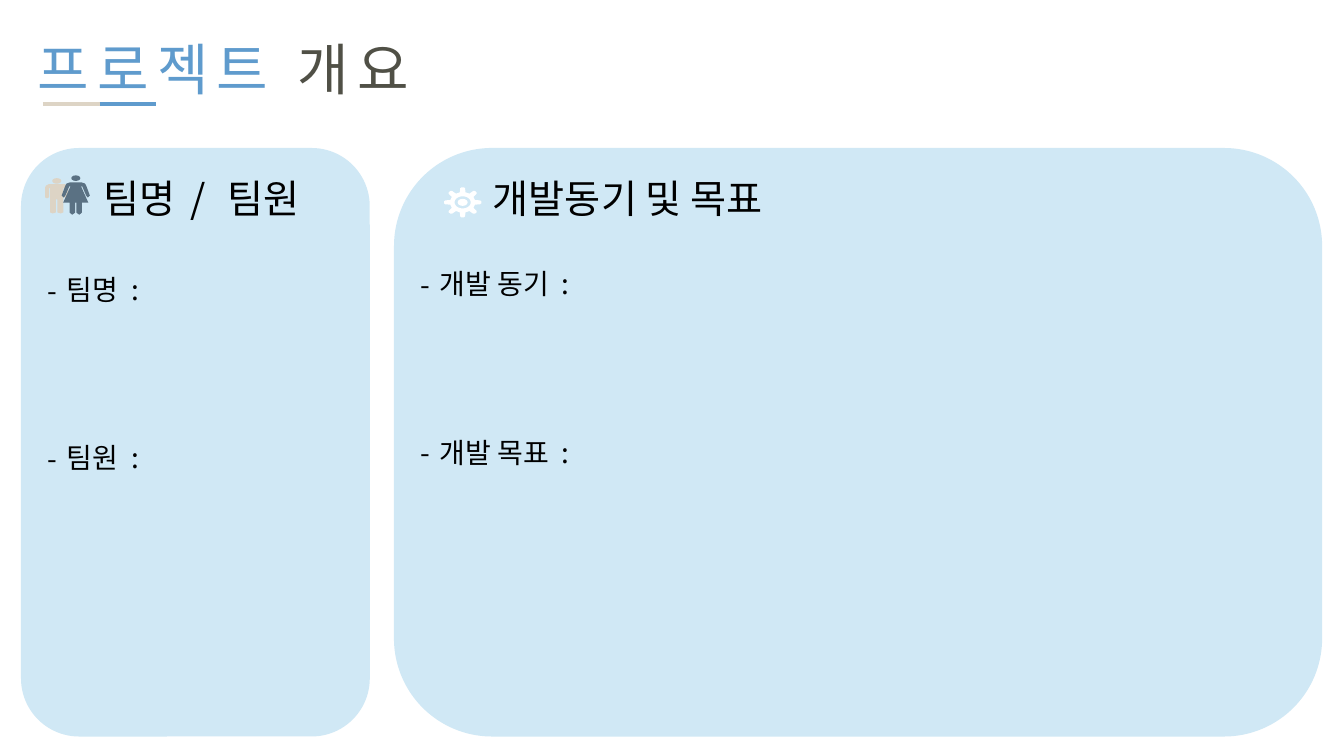
from math import cos, radians, sin
from pptx import Presentation
from pptx.dml.color import RGBColor
from pptx.enum.shapes import MSO_CONNECTOR, MSO_SHAPE
from pptx.enum.text import MSO_ANCHOR, MSO_AUTO_SIZE, PP_ALIGN
from pptx.oxml.ns import qn
from pptx.util import Cm, Pt
from lxml import etree

ROUND, OVAL = MSO_SHAPE.ROUNDED_RECTANGLE, MSO_SHAPE.OVAL
LINE, LEFT, TOP = MSO_CONNECTOR.STRAIGHT, PP_ALIGN.LEFT, MSO_ANCHOR.TOP
FIXED = MSO_AUTO_SIZE.NONE
FONT = "Noto Sans CJK KR"
BLUE, SAND, SLATE, PALE = "5F9BCD", "DDD4C5", "5A7183", "D0E8F5"
WHITE, BLACK, OLIVE = "FFFFFF", "000000", "505046"
UNIT = Cm(2.54) / 100
FINE = 100

MAN = [(0, 6), (8, 6), (10.5, 7.3), (11.5, 9), (11.5, 19), (9.5, 20),
       (7.5, 19), (7.5, 10), (6.5, 10), (6.5, 34), (4, 35), (0.75, 34),
       (0.75, 21), (0, 21)]
WOMAN = [(0, 7), (6, 7), (9, 8), (10.3, 10), (14, 20), (12, 22),
         (10.3, 20), (6.5, 11), (5.3, 11), (12.5, 27), (6, 27), (6, 37),
         (3.5, 39), (0.7, 37), (0.7, 27), (0, 27)]


def color(code):
    """Turn a hex string into a colour."""
    return RGBColor.from_string(code)


def paint(shape, code):
    """Give a shape a plain fill without line or shadow."""
    shape.fill.solid()
    shape.fill.fore_color.rgb = color(code)
    shape.line.fill.background()
    shape.shadow.inherit = False
    return shape


def place(shape, box):
    """Move a placeholder to a box and clear its margins' defaults."""
    shape.left, shape.top, shape.width, shape.height = map(Cm, box)
    frame = shape.text_frame
    frame.word_wrap, frame.auto_size = True, FIXED
    frame.vertical_anchor = TOP
    return frame


def write(para, text, size=20, code=BLACK, gap=0):
    """Add a run of text with its size, colour and letter gap in points."""
    run = para.add_run()
    run.text = text
    font = run.font
    font.size, font.name, font.bold = Pt(size), FONT, False
    font.color.rgb = color(code)
    props = font._element
    props.set("spc", str(int(gap * 100)))
    etree.SubElement(props, qn("a:ea"), typeface=FONT)
    para.alignment = LEFT
    para.line_spacing = 1.0
    para.space_before = Pt(0)


def dash(para):
    """Hang a dash before a paragraph."""
    props = para._p.get_or_add_pPr()
    props.set("marL", str(Cm(0.48)))
    props.set("indent", str(-Cm(0.48)))
    etree.SubElement(props, qn("a:buFont"), typeface=FONT)
    etree.SubElement(props, qn("a:buChar"), char="-")


def oval(slide, x, y, wide, high, code):
    """Draw an ellipse about a centre, sized in icon units."""
    wide, high = int(wide * UNIT), int(high * UNIT)
    left, top = Cm(x) - wide // 2, Cm(y) - high // 2
    paint(slide.shapes.add_shape(OVAL, left, top, wide, high), code)


def trace(slide, x, y, loops, code):
    """Draw closed outlines about a point, sized in icon units."""
    loops = [[(a * FINE, b * FINE) for a, b in loop] for loop in loops]
    pen = slide.shapes.build_freeform(*loops[0][0], scale=UNIT / FINE)
    pen.add_line_segments(loops[0][1:])
    for loop in loops[1:]:
        pen.move_to(*loop[0])
        pen.add_line_segments(loop[1:])
    paint(pen.convert_to_shape(Cm(x), Cm(y)), code)


def person(slide, x, y, half, code):
    """Draw a figure by mirroring half of its outline."""
    trace(slide, x, y, [half + [(-a, b) for a, b in half[::-1]]], code)
    oval(slide, x, y + 0.07, 9, 5.5, code)


def people(slide, x, y):
    """Draw the pair of team figures in a panel."""
    person(slide, x + 0.9, y + 0.76, MAN, SAND)
    person(slide, x + 1.38, y + 0.69, WOMAN, SLATE)


def ring(turns, wide, high):
    """List points on an ellipse from pairs of angle and share of radius."""
    return [(wide * part * cos(radians(turn)), high * part * sin(radians(turn)))
            for turn, part in turns]


def gear(slide, x, y):
    """Draw the goal gear in a panel."""
    x, y = x + 1.73, y + 1.37
    tooth = [(-13, 0.68), (-8, 0.94), (-4, 1), (4, 1), (8, 0.94), (13, 0.68)]
    rim = [(base + turn, part) for base in range(0, 360, 45)
           for turn, part in tooth]
    hole = [(turn, 1) for turn in range(360, 0, -10)]
    trace(slide, x, y, [ring(rim, 18.5, 15), ring(hole, 8, 6)], WHITE)
    oval(slide, x, y, 10, 7, WHITE)


def header(slide, x, y):
    """Place the slide title and its two-tone rule."""
    para = place(slide.shapes.title, (x, y, 14, 1.96)).paragraphs[0]
    write(para, "프로젝트 ", size=40, code=BLUE, gap=6)
    write(para, "개요", size=40, code=OLIVE, gap=6)
    for step, code in enumerate((SAND, BLUE)):
        left, high = x + 0.39 + step * 1.43, Cm(y + 1.88)
        rule = slide.shapes.add_connector(
            LINE, Cm(left), high, Cm(left + 1.43), high)
        rule.line.width = Pt(3)
        rule.line.color.rgb = color(code)
        etree.SubElement(rule._element.spPr, qn("a:effectLst"))


def panel(slide, box, slots, head, items, inset, drop, icon):
    """Fill a rounded panel with an icon, a heading and a dashed list."""
    x, y, wide, high = box
    back = paint(slide.shapes.add_shape(ROUND, *map(Cm, box)), PALE)
    slide.shapes._spTree.insert(2, back._element)
    title, body = (slide.placeholders[slot] for slot in slots)
    frame = place(title, (x + inset, y + 0.53, wide - inset - 0.5, 1.45))
    for text, gap in head:
        write(frame.paragraphs[0], text, size=28, gap=gap)
    frame = place(body, (x + 0.42, y + drop, wide - 0.84, 5.4))
    for count, item in enumerate(items):
        para = frame.add_paragraph() if count else frame.paragraphs[0]
        write(para, item)
        write(para, " ", gap=4.5)
        write(para, ":")
        para.space_before = Pt(96 if count else 0)
        dash(para)
    icon(slide, x, y)


def main():
    """Build the project overview slide."""
    deck = Presentation()
    deck.slide_width, deck.slide_height = Cm(33.87), Cm(19.05)
    slide = deck.slides.add_slide(deck.slide_layouts[4])
    header(slide, 0.69, 0.74)
    panel(slide, (0.53, 3.73, 8.79, 14.83), (1, 2),
          [("팀명", 0), (" / ", 4.5), ("팀원", 0)],
          ["팀명", "팀원"], 1.83, 3, people)
    panel(slide, (9.93, 3.73, 23.39, 14.83), (3, 4),
          [("개발동기 및 목표", 0)],
          ["개발 동기", "개발 목표"], 2.24, 2.87, gear)
    deck.save("out.pptx")


main()
